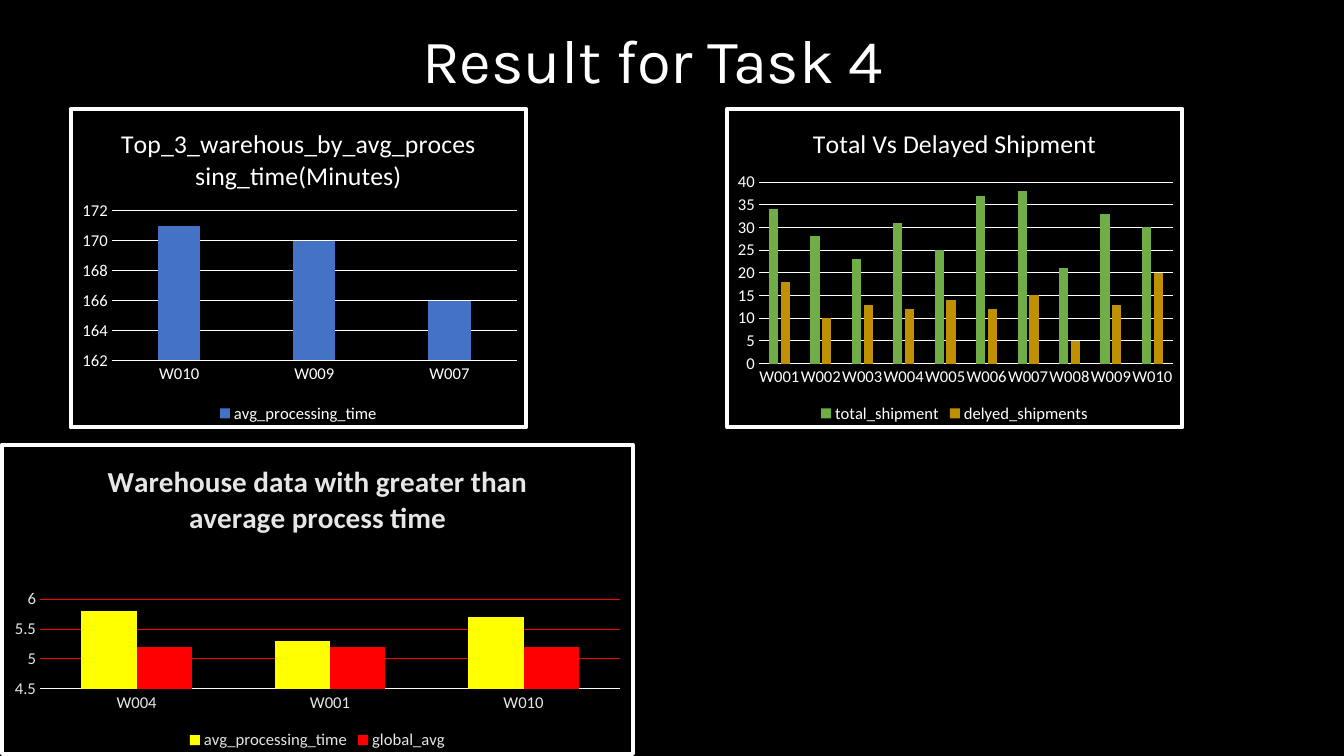
"""Build the Task 4 results slide with three warehouse column charts."""
from dataclasses import dataclass

from lxml.etree import fromstring
from pptx import Presentation
from pptx.chart.chart import Chart
from pptx.chart.data import CategoryChartData
from pptx.dml.color import RGBColor
from pptx.enum.chart import XL_CHART_TYPE, XL_LEGEND_POSITION, XL_TICK_MARK
from pptx.enum.text import MSO_ANCHOR, PP_ALIGN
from pptx.oxml.ns import nsdecls, qn
from pptx.slide import Slide
from pptx.text.text import Font
from pptx.util import Pt

WHITE = "FFFFFF"
PALE = "E7E6E6"
BLACK = "000000"


@dataclass(frozen=True)
class Series:
    name: str
    color: str
    values: list[float]


@dataclass(frozen=True)
class Panel:
    title: str
    frame: tuple[float, float, float, float]
    plot_area: tuple[float, float, float, float]
    categories: list[str]
    series: list[Series]
    scale: tuple[float, float, float]
    title_size: float = 18.6
    title_bold: bool = False
    text_color: str = WHITE
    axis_color: str = WHITE
    grid_color: str = WHITE
    gap: int = 219
    overlap: int = -27


PANELS = [
    Panel(
        "Top_3_warehous_by_avg_processing_time(Minutes)",
        (49, 76.3, 328.3, 230.4),
        (0.09, 0.32, 0.89, 0.47),
        ["W010", "W009", "W007"],
        [Series("avg_processing_time", "4472C4", [171, 170, 166])],
        (162, 172, 2),
    ),
    Panel(
        "Total Vs Delayed Shipment",
        (517.7, 76.3, 328.3, 230.4),
        (0.07, 0.23, 0.91, 0.57),
        [f"W{number:03}" for number in range(1, 11)],
        [
            Series("total_shipment", "70AD47", [34, 28, 23, 31, 25, 37, 38, 21, 33, 30]),
            Series("delyed_shipments", "BF9000", [18, 10, 13, 12, 14, 12, 15, 5, 13, 20]),
        ],
        (0, 40, 5),
    ),
    Panel(
        "Warehouse data with greater than average process time",
        (0, 316.1, 453.6, 223.9),
        (0.06, 0.5, 0.92, 0.29),
        ["W004", "W001", "W010"],
        [
            Series("avg_processing_time", "FFFF00", [5.8, 5.3, 5.7]),
            Series("global_avg", "FF0000", [5.2, 5.2, 5.2]),
        ],
        (4.5, 6, 0.5),
        title_size=21,
        title_bold=True,
        text_color=PALE,
        axis_color="FBFBFB",
        grid_color="FF0000",
        gap=150,
        overlap=0,
    ),
]


def rgb(value: str) -> RGBColor:
    """Turn a hex string into a colour."""
    return RGBColor.from_string(value)


def style_font(font: Font, name: str, size: float, color: str, bold: bool = False) -> None:
    """Set the face, size, colour and weight of a font."""
    font.name = name
    font.size = Pt(size)
    font.bold = bold
    font.color.rgb = rgb(color)


def add_heading(page: Slide) -> None:
    """Add the slide heading."""
    box = page.shapes.add_textbox(Pt(294.5), Pt(-5.8), Pt(393.8), Pt(103))
    box.text_frame.word_wrap = True
    box.text_frame.vertical_anchor = MSO_ANCHOR.MIDDLE
    para = box.text_frame.paragraphs[0]
    para.text = "Result for Task 4"
    para.alignment = PP_ALIGN.LEFT
    para.line_spacing = 0.9
    style_font(para.font, "Karla", 44, WHITE)


def frame_chart(chart: Chart) -> None:
    """Give the chart a black ground and a white border."""
    chart.element.find(qn("c:txPr")).addprevious(fromstring(
        f'<c:spPr {nsdecls("c", "a")}>'
        f'<a:solidFill><a:srgbClr val="{BLACK}"/></a:solidFill>'
        f'<a:ln w="{Pt(3)}"><a:solidFill><a:srgbClr val="{WHITE}"/></a:solidFill>'
        '<a:round/></a:ln></c:spPr>'
    ))


def place_plot(chart: Chart, area: tuple[float, float, float, float]) -> None:
    """Fix the inner plot area as fractions of the chart."""
    plot_area = chart.element.find(".//" + qn("c:plotArea"))
    for layout in plot_area.findall(qn("c:layout")):
        plot_area.remove(layout)
    lengths = "".join(f'<c:{key} val="{value}"/>' for key, value in zip("xywh", area))
    plot_area.insert(0, fromstring(
        f'<c:layout {nsdecls("c")}><c:manualLayout><c:layoutTarget val="inner"/>'
        f'<c:xMode val="edge"/><c:yMode val="edge"/>{lengths}</c:manualLayout></c:layout>'
    ))


def style_axes(chart: Chart, panel: Panel) -> None:
    """Set the scale, lines and labels of both axes."""
    for axis in (chart.category_axis, chart.value_axis):
        axis.major_tick_mark = axis.minor_tick_mark = XL_TICK_MARK.NONE
        style_font(axis.tick_labels.font, "Calibri", 12, panel.text_color)
    line = chart.category_axis.format.line
    line.color.rgb = rgb(panel.axis_color)
    line.width = Pt(0.75)
    values = chart.value_axis
    values.minimum_scale, values.maximum_scale, values.major_unit = panel.scale
    values.format.line.fill.background()
    values.has_major_gridlines = True
    grid = values.major_gridlines.format.line
    grid.color.rgb = rgb(panel.grid_color)
    grid.width = Pt(0.75)


def add_panel(page: Slide, panel: Panel) -> None:
    """Add one framed column chart."""
    data = CategoryChartData()
    data.categories = panel.categories
    for series in panel.series:
        data.add_series(series.name, series.values)
    chart = page.shapes.add_chart(
        XL_CHART_TYPE.COLUMN_CLUSTERED, *map(Pt, panel.frame), data
    ).chart
    style_font(chart.font, "Calibri", 10, WHITE)
    frame_chart(chart)
    place_plot(chart, panel.plot_area)
    style_axes(chart, panel)

    para = chart.chart_title.text_frame.paragraphs[0]
    para.text = panel.title
    style_font(para.font, "Calibri", panel.title_size, panel.text_color, panel.title_bold)
    chart.chart_title.include_in_layout = False

    chart.has_legend = True
    chart.legend.position = XL_LEGEND_POSITION.BOTTOM
    chart.legend.include_in_layout = False
    style_font(chart.legend.font, "Calibri", 12, panel.text_color)

    plot = chart.plots[0]
    plot.vary_by_categories = False
    plot.gap_width = panel.gap
    plot.overlap = panel.overlap
    for drawn, series in zip(plot.series, panel.series):
        drawn.format.fill.solid()
        drawn.format.fill.fore_color.rgb = rgb(series.color)


def main() -> None:
    """Build and save the deck."""
    deck = Presentation()
    deck.slide_width, deck.slide_height = Pt(960), Pt(540)
    page = deck.slides.add_slide(deck.slide_layouts[6])
    page.background.fill.solid()
    page.background.fill.fore_color.rgb = rgb(BLACK)
    add_heading(page)
    for panel in PANELS:
        add_panel(page, panel)
    deck.save("out.pptx")


if __name__ == "__main__":
    main()
